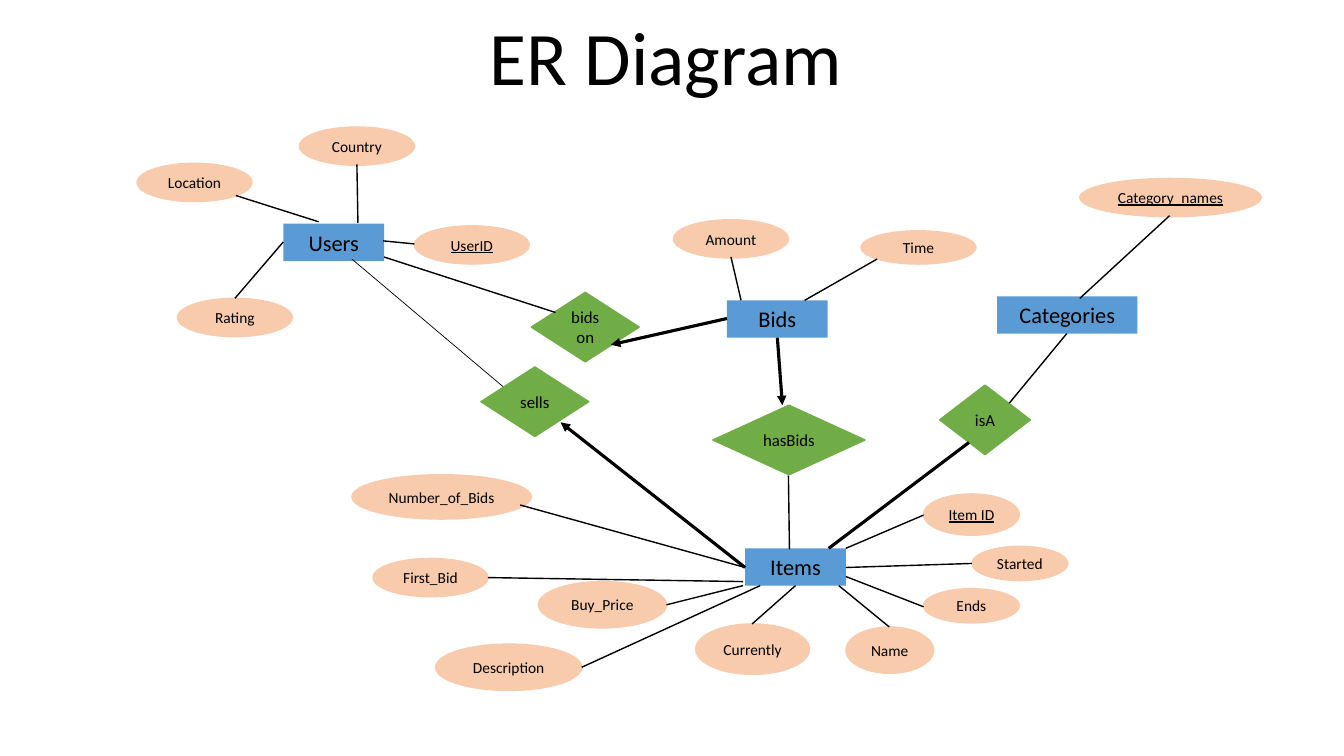
from lxml.etree import SubElement
from pptx import Presentation
from pptx.dml.color import RGBColor
from pptx.enum.shapes import MSO_CONNECTOR, MSO_SHAPE
from pptx.enum.text import MSO_ANCHOR, MSO_AUTO_SIZE, PP_ALIGN
from pptx.oxml.ns import qn
from pptx.util import Inches, Pt


def colour(hex_string):
    return RGBColor.from_string(hex_string)


class ERDiagram:
    FONT = "Calibri"
    INK = "000000"
    ENTITY, ATTRIBUTE, RELATIONSHIP = "5B9BD5", "F8CBAD", "70AD47"

    def __init__(self, slide):
        self.slide = slide

    def label(self, frame, text, size, underline=False):
        frame.word_wrap = False
        frame.auto_size = MSO_AUTO_SIZE.NONE
        frame.vertical_anchor = MSO_ANCHOR.MIDDLE
        paragraph = frame.paragraphs[0]
        paragraph.alignment = PP_ALIGN.CENTER
        for index, line in enumerate(text.split("\n")):
            if index:
                paragraph.add_line_break()
            run = paragraph.add_run()
            run.text = line
            run.font.name = self.FONT
            run.font.size = Pt(size)
            run.font.color.rgb = colour(self.INK)
            if underline:
                run.font.underline = True

    def title(self, text, box):
        heading = self.slide.shapes.title
        heading.left, heading.top, heading.width, heading.height = map(Inches, box)
        self.label(heading.text_frame, text, 54)

    def node(self, preset, fill, text, size, box, outlined=True, underline=False):
        node = self.slide.shapes.add_shape(preset, *map(Inches, box))
        node.shadow.inherit = False
        node.fill.solid()
        node.fill.fore_color.rgb = colour(fill)
        if outlined:
            node.line.color.rgb = colour(fill)
            node.line.width = Pt(1)
        else:
            node.line.fill.background()
        self.label(node.text_frame, text, size, underline)

    def entity(self, name, box):
        self.node(MSO_SHAPE.RECTANGLE, self.ENTITY, name, 16, box, outlined=False)

    def attribute(self, name, box, key):
        self.node(MSO_SHAPE.OVAL, self.ATTRIBUTE, name, 11, box, underline=key)

    def relationship(self, name, box):
        self.node(MSO_SHAPE.DIAMOND, self.RELATIONSHIP, name, 12, box)

    def link(self, start, end, width=1, arrow=False):
        link = self.slide.shapes.add_connector(
            MSO_CONNECTOR.STRAIGHT, *map(Inches, start + end))
        link.line.color.rgb = colour(self.INK)
        link.line.width = Pt(width)
        properties = link._element.spPr
        if arrow:
            SubElement(properties.find(qn("a:ln")), qn("a:tailEnd"), type="triangle")
        SubElement(properties, qn("a:effectLst"))


ENTITIES = {
    "Users": (2.81, 2.22, 1, 0.37),
    "Bids": (7.21, 2.98, 1, 0.37),
    "Categories": (9.89, 2.94, 1.39, 0.37),
    "Items": (7.39, 5.44, 1, 0.37),
}
KEYS = {"UserID", "Item ID", "Category_names"}

# Attribute: box, then the two ends of its link to the entity
ATTRIBUTES = {
    # Users
    "Location": ((1.36, 1.62, 1.14, 0.38), (2.34, 1.94), (3.16, 2.2)),
    "Country": ((2.97, 1.26, 1.14, 0.38), (3.54, 1.63), (3.55, 2.21)),
    "UserID": ((4.11, 2.24, 1.14, 0.38), (4.11, 2.42), (3.8, 2.39)),
    "Rating": ((1.76, 2.96, 1.14, 0.38), (2.33, 2.96), (2.81, 2.4)),
    # Bids
    "Amount": ((6.68, 2.18, 1.14, 0.38), (7.35, 2.98), (7.25, 2.55)),
    "Time": ((8.54, 2.29, 1.14, 0.33), (7.98, 2.98), (8.7, 2.57)),
    # Categories
    "Category_names": ((10.71, 1.77, 1.8, 0.38), (10.71, 2.96), (11.6, 2.14)),
    # Items
    "Number_of_Bids": ((3.49, 4.71, 1.78, 0.44), (7.39, 5.63), (5.16, 5.01)),
    "First_Bid": ((3.7, 5.54, 1.14, 0.38), (7.37, 5.77), (4.84, 5.73)),
    "Buy_Price": ((5.34, 5.77, 1.27, 0.46), (7.37, 5.81), (6.61, 6)),
    "Description": ((4.32, 6.39, 1.45, 0.46), (7.54, 5.81), (5.77, 6.62)),
    "Currently": ((6.9, 6.19, 1.13, 0.5), (7.89, 5.81), (7.46, 6.19)),
    "Name": ((8.39, 6.22, 0.87, 0.46), (8.32, 5.81), (8.82, 6.22)),
    "Ends": ((9.16, 5.84, 0.95, 0.34), (8.39, 5.72), (9.16, 6.02)),
    "Started": ((9.64, 5.42, 0.95, 0.34), (8.39, 5.63), (9.64, 5.59)),
    "Item ID": ((9.16, 4.9, 0.95, 0.41), (8.39, 5.44), (9.16, 5.11)),
}

RELATIONSHIPS = {
    "bids\non": (5.27, 2.9, 1.07, 0.69),
    "sells": (4.77, 3.64, 1.07, 0.69),
    "hasBids": (7.07, 4.02, 1.51, 0.69),
    "isA": (9.32, 3.82, 0.9, 0.69),
}

# Start, end, width, arrowhead
RELATIONSHIP_LINKS = [
    ((3.81, 2.55), (5.51, 3.1), 1, False),      # Users, bids on
    ((7.21, 3.16), (6.06, 3.42), 2.25, True),   # Bids, bids on
    ((7.39, 5.63), (5.56, 4.19), 2.25, True),   # Items, sells
    ((7.71, 3.35), (7.76, 4.02), 2.25, True),   # Bids, hasBids
    ((7.83, 5.45), (7.82, 4.72), 1, False),     # Items, hasBids
    ((8.22, 5.44), (9.61, 4.39), 2.25, False),  # Items, isA
    ((10.01, 4), (10.58, 3.31), 1, False),      # Categories, isA
]


def main():
    presentation = Presentation()
    presentation.slide_width = Inches(13.33)
    presentation.slide_height = Inches(7.5)
    title_only = presentation.slide_layouts[5]
    diagram = ERDiagram(presentation.slides.add_slide(title_only))
    diagram.title("ER Diagram", (4.74, 0.04, 3.73, 1.01))

    # Entities and their attributes
    for name, box in ENTITIES.items():
        diagram.entity(name, box)
    for name, (box, _, _) in ATTRIBUTES.items():
        diagram.attribute(name, box, name in KEYS)
    for _, start, end in ATTRIBUTES.values():
        diagram.link(start, end)

    # The line from Users runs under the sells diamond
    diagram.link((3.49, 2.57), (5.16, 3.98), width=0.5)

    # Relationships
    for name, box in RELATIONSHIPS.items():
        diagram.relationship(name, box)
    for start, end, width, arrow in RELATIONSHIP_LINKS:
        diagram.link(start, end, width, arrow)

    presentation.save("out.pptx")


if __name__ == "__main__":
    main()
